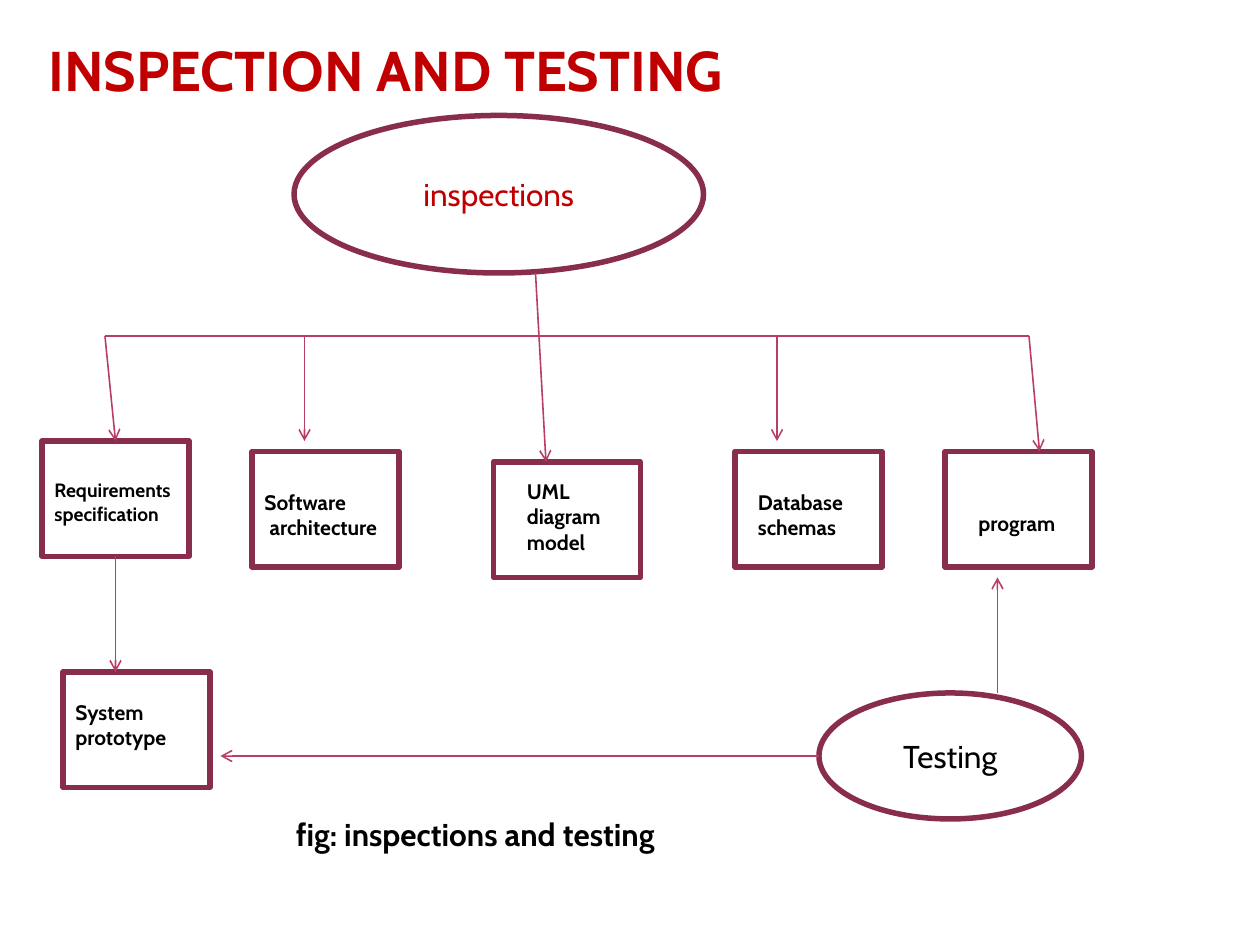
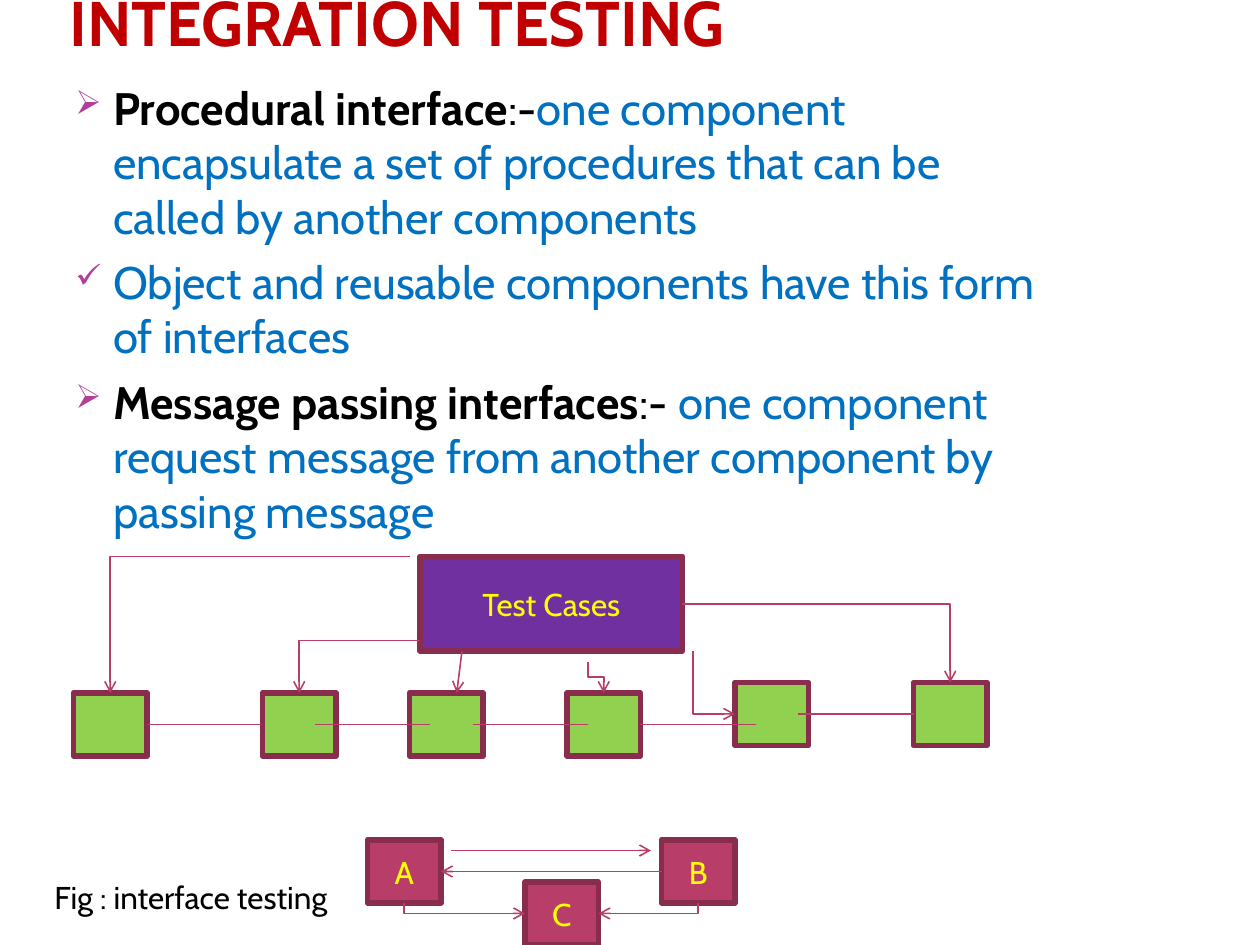
from lxml import etree
from pptx import Presentation
from pptx import util as u
from pptx.dml.color import RGBColor
from pptx.enum import shapes, text
from pptx.oxml import ns

PX = 7620  # EMU per px, 120 px to the inch
FONT = "Cabin"

WHITE = RGBColor(0xFF, 0xFF, 0xFF)
BLACK = RGBColor(0x00, 0x00, 0x00)
RED = RGBColor(0xC0, 0x00, 0x00)
BLUE = RGBColor(0x00, 0x70, 0xC0)
YELLOW = RGBColor(0xFF, 0xFF, 0x00)
PURPLE = RGBColor(0x70, 0x30, 0xA0)
GREEN = RGBColor(0x92, 0xD0, 0x50)
ROSE = RGBColor(0xB8, 0x3D, 0x68)
WINE = RGBColor(0x88, 0x2D, 0x4D)

RECT = shapes.MSO_SHAPE.RECTANGLE
OVAL = shapes.MSO_SHAPE.OVAL


def px(*lengths):
    return [u.Emu(round(length * PX)) for length in lengths]


def add_xml(parent, tag, **attributes):
    return etree.SubElement(parent, ns.qn(tag), attributes)


class Deck:
    """Shared style and the slide being drawn."""

    def __init__(self):
        self.prs = Presentation()
        self.prs.slide_width, self.prs.slide_height = px(1200, 900)

    def new_slide(self):
        self.slide = self.prs.slides.add_slide(self.prs.slide_layouts[6])

    def style(self, paragraph, size, color=None, bold=None):
        font = paragraph.font
        font.name, font.size = FONT, u.Pt(size)
        if color is not None:
            font.color.rgb = color
        if bold is not None:
            font.bold = bold

    def title(self, words, x, y, w, h, size):
        frame = self.slide.shapes.add_textbox(*px(x, y, w, h)).text_frame
        frame.word_wrap = True
        frame.vertical_anchor = text.MSO_ANCHOR.BOTTOM
        frame.margin_left, frame.margin_right = px(6, 6)
        frame.margin_top = frame.margin_bottom = 0
        frame.text = words
        self.style(frame.paragraphs[0], size, RED, True)

    def shape(self, kind, x, y, w, h, fill=WHITE, words="", color=BLACK):
        shape = self.slide.shapes.add_shape(kind, *px(x, y, w, h))
        shape.shadow.inherit = False
        shape.fill.solid()
        shape.fill.fore_color.rgb = fill
        shape.line.color.rgb = WINE
        shape.line.width = u.Pt(3.15)
        if words:
            frame = shape.text_frame
            frame.text = words
            frame.vertical_anchor = text.MSO_ANCHOR.MIDDLE
            frame.paragraphs[0].alignment = text.PP_ALIGN.CENTER
            self.style(frame.paragraphs[0], 18, color)

    def label(self, lines, x, y, w, h, size=12, bold=True, last_indent=0):
        frame = self.slide.shapes.add_textbox(*px(x, y, w, h)).text_frame
        frame.word_wrap = False
        frame.auto_size = text.MSO_AUTO_SIZE.SHAPE_TO_FIT_TEXT
        frame.text = lines
        if last_indent:
            properties = frame.paragraphs[-1]._p.get_or_add_pPr()
            properties.set("marL", str(last_indent * PX))
        for paragraph in frame.paragraphs:
            self.style(paragraph, size, BLACK, bold)

    def bullets(self, items, x, y, w, h, size):
        frame = self.slide.shapes.add_textbox(*px(x, y, w, h)).text_frame
        frame.word_wrap = True
        for i, (mark, runs) in enumerate(items):
            paragraph = frame.add_paragraph() if i else frame.paragraphs[0]
            if i:
                paragraph.space_before = u.Pt(6)
            properties = paragraph._p.get_or_add_pPr()
            properties.set("marL", str(36 * PX))
            properties.set("indent", str(-36 * PX))
            add_xml(add_xml(properties, "a:buClr"), "a:srgbClr", val="B13F9A")
            add_xml(properties, "a:buSzPct", val="73000")
            add_xml(properties, "a:buChar", char=mark)
            self.style(paragraph, size)
            for words, color, bold in runs:
                run = paragraph.add_run()
                run.text = words
                run.font.color.rgb = color
                run.font.bold = bold

    def line(self, start, end, arrow=True, kind=shapes.MSO_CONNECTOR.STRAIGHT):
        link = self.slide.shapes.add_connector(kind, *px(*start, *end))
        link.line.color.rgb = ROSE
        link.line.width = u.Pt(0.9)
        if arrow:
            add_xml(link.line._get_or_add_ln(), "a:tailEnd", type="arrow")
        add_xml(link._element.spPr, "a:effectLst")
        return link

    def elbow(self, start, end, vertical_first=False, preset="bentConnector2"):
        if vertical_first:  # lay the path on its side, then turn it by 270 degrees
            (x1, y1), (x2, y2) = start, end
            cx, cy = (x1 + x2) / 2, (y1 + y2) / 2
            dx, dy = (x2 - x1) / 2, (y2 - y1) / 2
            start, end = (cx + dy, cy - dx), (cx - dy, cy + dx)
        link = self.line(start, end, kind=shapes.MSO_CONNECTOR.ELBOW)
        properties = link._element.spPr
        properties.find(ns.qn("a:prstGeom")).set("prst", preset)
        if vertical_first:
            properties.find(ns.qn("a:xfrm")).set("rot", str(270 * 60000))


def inspection_slide(deck):
    deck.new_slide()
    deck.title("INSPECTION AND TESTING", 40, 30, 950, 68, 32)

    # Activities
    deck.shape(OVAL, 280, 110, 390, 150, words="inspections", color=RED)
    deck.shape(OVAL, 780, 660, 250, 120, words="Testing")

    # Work products: box corner, wording, label frame, size, last line's indent
    products = [
        (40, 420, "Requirements\nspecification", (40, 450, 151, 56), 11, 0),
        (240, 430, "Software\narchitecture", (240, 460, 148, 60), 12, 5),
        (470, 440, "UML\ndiagram\nmodel", (490, 450, 106, 85), 12, 0),
        (700, 430, "Database\nschemas", (710, 460, 109, 60), 12, 0),
        (900, 430, "program", (920, 480, 102, 36), 12, 0),
        (60, 640, "System\nprototype", (60, 660, 118, 60), 12, 0),
    ]
    for x, y, words, frame, size, indent in products:
        deck.shape(RECT, x, y, 140, 110)
        deck.label(words, *frame, size=size, last_indent=indent)

    # Inspections reach every product
    rail = 320
    deck.line((100, rail), (980, rail), arrow=False)
    deck.line((510, 260), (520, 440))
    for x, tip in [(100, (110, 420)), (290, (290, 420)),
                   (740, (740, 420)), (980, (990, 430))]:
        deck.line((x, rail), tip)

    # Prototype and testing
    deck.line((110, 530), (110, 640))
    deck.line((950, 660), (950, 550))
    deck.line((780, 720), (210, 720))

    deck.label("fig: inspections and testing", 270, 770, 406, 48, size=18)


def integration_slide(deck):
    deck.new_slide()
    deck.title("INTEGRATION TESTING", 60, 0, 950, 56, 36)
    deck.bullets([
        ("➢", [("Procedural interface", BLACK, True),
               (":-", BLACK, False),
               ("one component encapsulate a set of procedures that can be "
                "called by another components", BLUE, False)]),
        ("✓", [("Object and reusable components have this form of interfaces",
                BLUE, False)]),
        ("➢", [("Message passing interfaces", BLACK, True),
               (":- ", BLACK, False),
               ("one component request message from another component by "
                "passing message", BLUE, False)]),
    ], 60, 70, 950, 778, 26)

    # Test cases and the components under test
    deck.shape(RECT, 400, 530, 250, 90, PURPLE, "Test Cases", YELLOW)
    for x, y in [(70, 660), (250, 660), (390, 660),
                 (540, 660), (700, 650), (870, 650)]:
        deck.shape(RECT, x, y, 70, 60, GREEN)

    # Interacting components
    for name, x, y in [("A", 350, 800), ("B", 630, 800), ("C", 500, 840)]:
        deck.shape(RECT, x, y, 70, 60, ROSE, name, YELLOW)

    # Test cases to components
    deck.elbow((650, 575), (905, 650))
    deck.elbow((400, 610), (285, 660))
    deck.elbow((390, 530), (105, 660))
    deck.elbow((660, 620), (700, 680), vertical_first=True)
    deck.elbow((560, 630), (575, 660), vertical_first=True,
               preset="bentConnector3")
    deck.line((440, 620), (435, 660))

    # Links between neighbouring components
    for x, y in [(140, 690), (300, 690), (450, 690), (610, 690), (760, 680)]:
        deck.line((x, y), (x + 110, y), arrow=False)

    # Messages among A, B and C
    deck.line((430, 810), (620, 810))
    deck.line((630, 830), (420, 830))
    deck.elbow((385, 860), (500, 870), vertical_first=True)
    deck.elbow((665, 860), (570, 870), vertical_first=True)

    deck.label("Fig : interface testing", 40, 830, 320, 48, size=18, bold=False)


def main():
    deck = Deck()
    inspection_slide(deck)
    integration_slide(deck)
    deck.prs.save("out.pptx")


if __name__ == "__main__":
    main()
